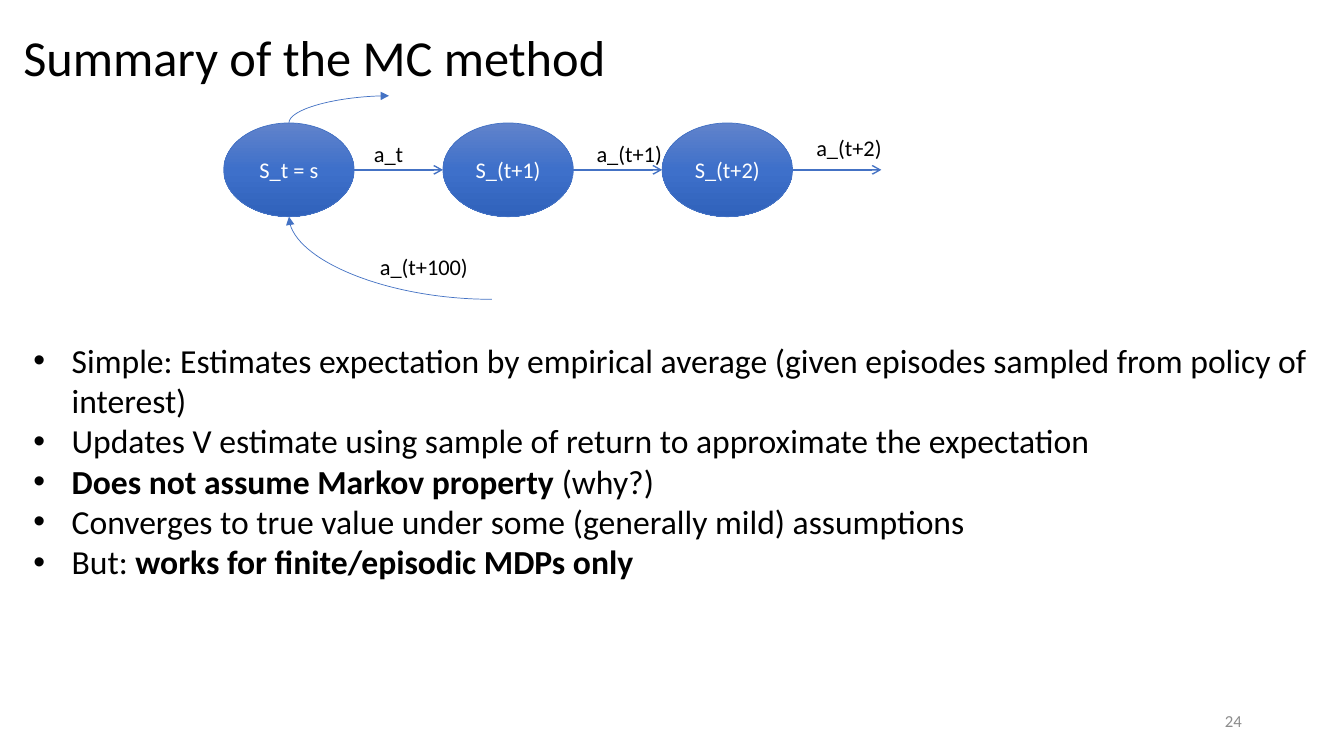
from copy import deepcopy
from dataclasses import dataclass

from lxml import etree
from pptx import Presentation
from pptx.dml.color import RGBColor
from pptx.enum.shapes import MSO_CONNECTOR, MSO_SHAPE
from pptx.enum.text import MSO_ANCHOR, MSO_AUTO_SIZE, PP_ALIGN
from pptx.oxml.ns import qn
from pptx.util import Inches, Pt

SLIDE_W, SLIDE_H = Inches(13.33), Inches(7.5)
FONT = "Calibri"
BLACK = RGBColor(0x00, 0x00, 0x00)
WHITE = RGBColor(0xFF, 0xFF, 0xFF)
GRAY = RGBColor(0x8C, 0x8C, 0x8C)
BLUE = RGBColor(0x44, 0x72, 0xC4)
GRADIENT = (
    RGBColor(0x61, 0x83, 0xCB),
    RGBColor(0x3E, 0x70, 0xCA),
    RGBColor(0x30, 0x62, 0xBB),
)
ELLIPSE = MSO_SHAPE.OVAL
STRAIGHT, CURVE = MSO_CONNECTOR.STRAIGHT, MSO_CONNECTOR.CURVE
LEFT, CENTER, RIGHT = PP_ALIGN.LEFT, PP_ALIGN.CENTER, PP_ALIGN.RIGHT
TOP, MIDDLE = MSO_ANCHOR.TOP, MSO_ANCHOR.MIDDLE
NO_FIT = MSO_AUTO_SIZE.NONE

STATE_X, STATE_Y = 16.65, 16.27
STATE_W, STATE_H = 9.7, 12.4
STATE_STEP = 16.31
STATE_MID_X = STATE_X + STATE_W / 2
STATE_MID_Y = STATE_Y + STATE_H / 2
STATES = ("S_t = s", "S_(t+1)", "S_(t+2)")


@dataclass(frozen=True)
class Box:
    x: float
    y: float
    w: float
    h: float


@dataclass(frozen=True)
class Label:
    text: str
    box: Box
    size: int = 16
    color: RGBColor = BLACK
    align: PP_ALIGN = LEFT
    anchor: MSO_ANCHOR = TOP
    wrap: bool = False


@dataclass(frozen=True)
class Arrow:
    x1: float
    y1: float
    x2: float
    y2: float
    kind: MSO_CONNECTOR = CURVE
    width: float = 0.5
    end: str = "tailEnd"
    tip: str = "triangle"


@dataclass(frozen=True)
class Run:
    text: str
    bold: bool = False


TITLE_BOX = Box(0.98, -0.4, 71.18, 16.67)
BODY_BOX = Box(1.73, 44.27, 96.53, 33.6)
LABELS = (
    Label("a_t", Box(27.08, 17.87, 3.75, 4.93)),
    Label("a_(t+1)", Box(43.65, 17.87, 6.45, 4.93)),
    Label("a_(t+2)", Box(60, 17.07, 6.45, 4.93)),
    Label("a_(t+100)", Box(27.53, 32.8, 8.18, 4.93)),
    Label("24", Box(70.65, 92.67, 22.5, 5.33), 12, GRAY, RIGHT, MIDDLE, True),
)
CURVES = (
    Arrow(36.6, 39.6, STATE_MID_X, STATE_Y + STATE_H),
    Arrow(28.95, 12.67, STATE_MID_X, STATE_Y, end="headEnd"),
)
BULLETS = (
    (Run("Simple: Estimates expectation by empirical average "
         "(given episodes sampled from policy of interest)"),),
    (Run("Updates V estimate using sample of return to approximate the expectation"),),
    (Run("Does not assume Markov property ", True), Run("(why?)")),
    (Run("Converges to true value under some (generally mild) assumptions"),),
    (Run("But: "), Run("works for finite/episodic MDPs only", True)),
)


def px(share: float) -> int:
    return round(SLIDE_W * share / 100)


def py(share: float) -> int:
    return round(SLIDE_H * share / 100)


def frame(box: Box) -> tuple[int, int, int, int]:
    return px(box.x), py(box.y), px(box.w), py(box.h)


def place(sp, box: Box) -> None:
    sp.left, sp.top, sp.width, sp.height = frame(box)


def add_run(p, text: str, size: int, color: RGBColor, bold: bool = False) -> None:
    r = p.add_run()
    r.text = text
    r.font.name = FONT
    r.font.size = Pt(size)
    r.font.bold = bold
    r.font.color.rgb = color


def fill_title(sp) -> None:
    place(sp, TITLE_BOX)
    tf = sp.text_frame
    tf.auto_size = NO_FIT
    tf.vertical_anchor = MIDDLE
    p = tf.paragraphs[0]
    p.alignment = LEFT
    p.line_spacing = 0.9
    add_run(p, "Summary of the MC method", 36, BLACK)


def fill_body(sp) -> None:
    place(sp, BODY_BOX)
    tf = sp.text_frame
    tf.auto_size = NO_FIT
    tf.vertical_anchor = TOP
    for i, runs in enumerate(BULLETS):
        p = tf.add_paragraph() if i else tf.paragraphs[0]
        p.space_before = Pt(0)
        pPr = p._p.get_or_add_pPr()
        pPr.set("marL", str(Inches(0.38)))
        pPr.set("indent", str(-Inches(0.38)))
        etree.SubElement(pPr, qn("a:buFont")).set("typeface", "Arial")
        etree.SubElement(pPr, qn("a:buChar")).set("char", "•")
        for run in runs:
            add_run(p, run.text, 24, BLACK, run.bold)


def add_state(s, text: str, box: Box) -> None:
    sp = s.shapes.add_shape(ELLIPSE, *frame(box))
    sp.shadow.inherit = False
    sp.fill.gradient()
    sp.fill.gradient_angle = 270
    stops = sp._element.spPr.find(qn("a:gradFill")).find(qn("a:gsLst"))
    stops.insert(1, deepcopy(stops[0]))
    for i, (stop, color) in enumerate(zip(sp.fill.gradient_stops, GRADIENT)):
        stop.position = i / 2
        stop.color.rgb = color
    sp.line.color.rgb = BLUE
    sp.line.width = Pt(0.5)
    tf = sp.text_frame
    tf.word_wrap = True
    tf.vertical_anchor = MIDDLE
    p = tf.paragraphs[0]
    p.alignment = CENTER
    add_run(p, text, 16, WHITE)


def add_arrow(s, arrow: Arrow) -> None:
    cxn = s.shapes.add_connector(
        arrow.kind, px(arrow.x1), py(arrow.y1), px(arrow.x2), py(arrow.y2))
    cxn.line.color.rgb = BLUE
    cxn.line.width = Pt(arrow.width)
    spPr = cxn._element.spPr
    if arrow.kind == CURVE:
        spPr.find(qn("a:prstGeom")).set("prst", "curvedConnector2")
    etree.SubElement(spPr.find(qn("a:ln")), qn(f"a:{arrow.end}")).set("type", arrow.tip)
    etree.SubElement(spPr, qn("a:effectLst"))


def add_label(s, label: Label) -> None:
    tf = s.shapes.add_textbox(*frame(label.box)).text_frame
    tf.word_wrap = label.wrap
    tf.vertical_anchor = label.anchor
    p = tf.paragraphs[0]
    p.alignment = label.align
    add_run(p, label.text, label.size, label.color)


def main() -> None:
    prs = Presentation()
    prs.slide_width, prs.slide_height = SLIDE_W, SLIDE_H
    s = prs.slides.add_slide(prs.slide_layouts[1])
    fill_title(s.shapes.title)
    fill_body(s.placeholders[1])
    for i, text in enumerate(STATES):
        x = STATE_X + i * STATE_STEP
        add_state(s, text, Box(x, STATE_Y, STATE_W, STATE_H))
        add_arrow(s, Arrow(x + STATE_W, STATE_MID_Y, x + STATE_STEP, STATE_MID_Y,
                           STRAIGHT, 1, tip="arrow"))
    for curve in CURVES:
        add_arrow(s, curve)
    for label in LABELS:
        add_label(s, label)
    prs.save("out.pptx")


if __name__ == "__main__":
    main()
